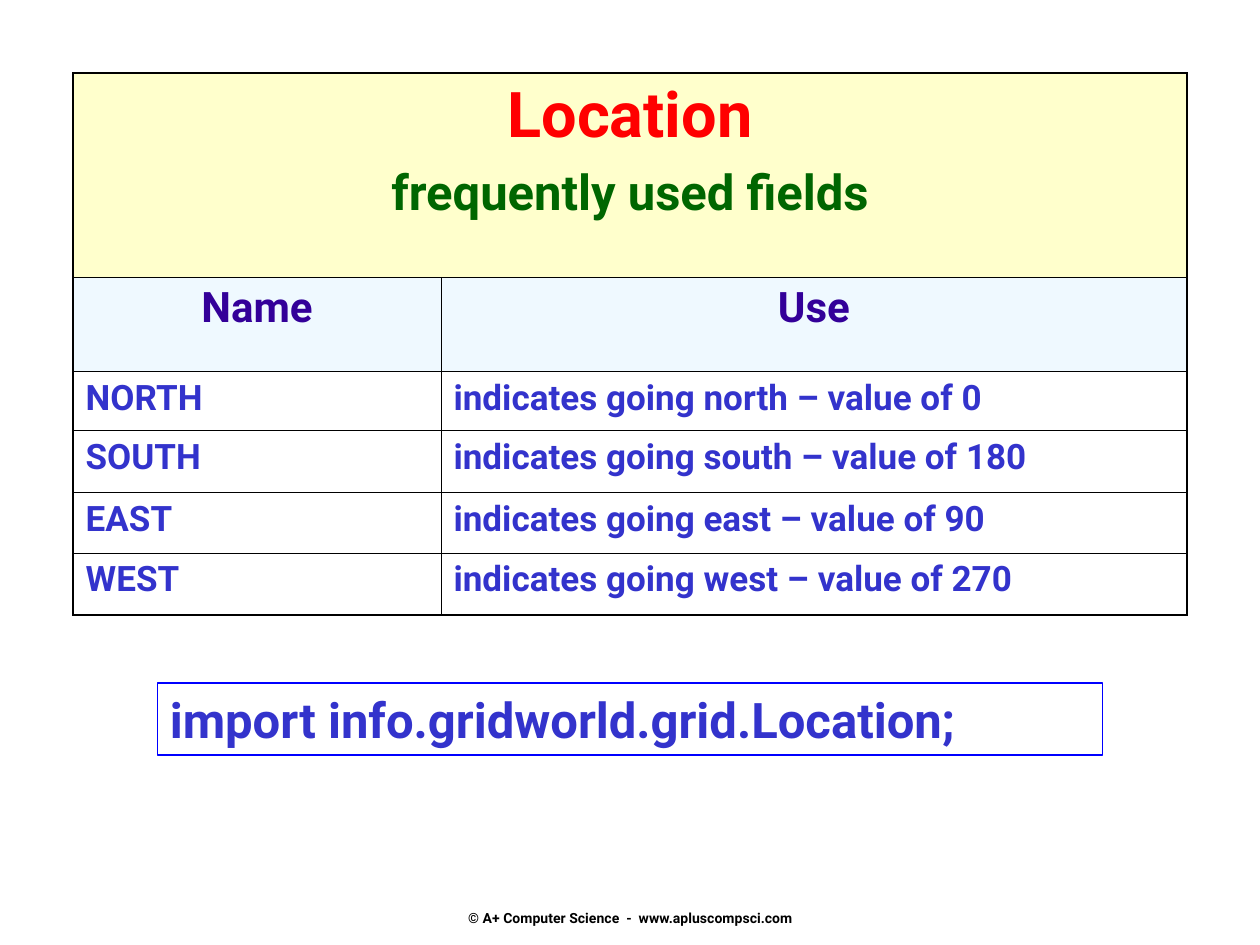
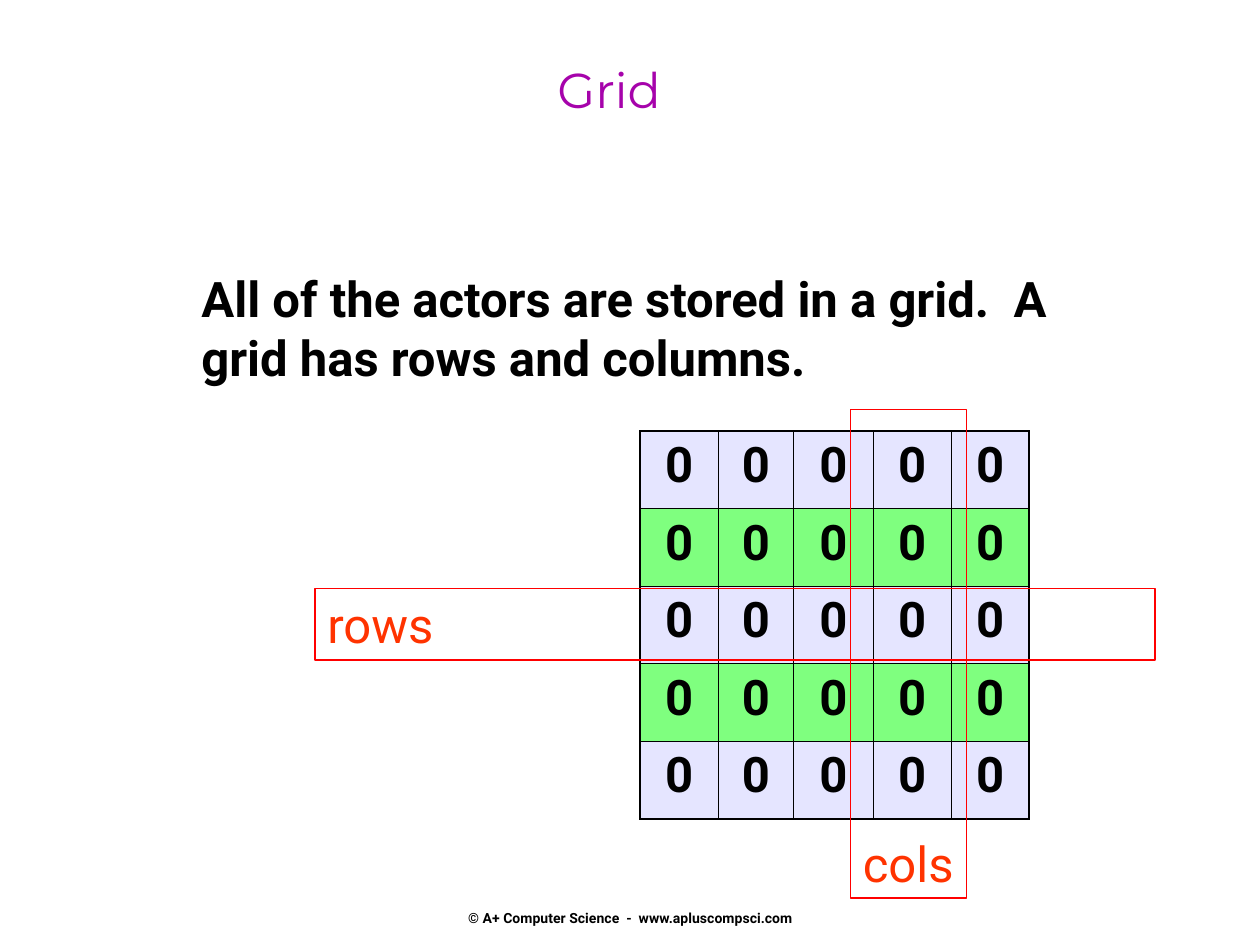
from copy import deepcopy
from dataclasses import dataclass

from lxml.etree import SubElement
from pptx import Presentation
from pptx.dml.color import RGBColor
from pptx.enum.shapes import MSO_SHAPE as Preset
from pptx.enum.text import MSO_ANCHOR as Anchor, PP_ALIGN as Align
from pptx.oxml import parse_xml
from pptx.oxml.ns import nsdecls, qn
from pptx.slide import Slide
from pptx.table import Table, _Cell as Cell
from pptx.text.text import TextFrame
from pptx.util import Inches, Pt

BLACK = RGBColor(0x00, 0x00, 0x00)
RED = RGBColor(0xFF, 0x00, 0x00)
ORANGE = RGBColor(0xFF, 0x33, 0x00)
BLUE = RGBColor(0x00, 0x00, 0xFF)
INDIGO = RGBColor(0x33, 0x33, 0xCC)
VIOLET = RGBColor(0x33, 0x00, 0x99)
PURPLE = RGBColor(0xA6, 0x03, 0xAB)
DARK_GREEN = RGBColor(0x00, 0x66, 0x00)
GREEN = RGBColor(0x00, 0xFF, 0x00)
LAVENDER = RGBColor(0xCC, 0xCC, 0xFF)
PALE_BLUE = RGBColor(0xE1, 0xF4, 0xFF)
CREAM = RGBColor(0xFF, 0xFF, 0xCC)

OUTER_BORDER, INNER_BORDER = Pt(1.08), Pt(0.45)
HALF_OPAQUE = 50


@dataclass(frozen=True)
class TextStyle:
    size: int
    color: RGBColor
    bold: bool = True
    align: Align = Align.LEFT
    name: str = "Roboto"
    space_before: int = 0


@dataclass(frozen=True)
class Box:
    left: float
    top: float
    width: float
    height: float

    def lengths(self) -> tuple:
        return tuple(map(Inches, (self.left, self.top, self.width, self.height)))


@dataclass(frozen=True)
class Label:
    text: str
    box: Box
    style: TextStyle
    line: RGBColor | None = None
    anchor: Anchor = Anchor.TOP
    right_inset: float = 0.1
    bottom_inset: float = 0.05


FOOTER = Label("© A+ Computer Science  -  www.apluscompsci.com", Box(3.42, 6.83, 3.17, 0.52),
               TextStyle(8, BLACK, align=Align.CENTER), anchor=Anchor.BOTTOM, bottom_inset=0)
CLASS_NAME = TextStyle(36, RED, align=Align.CENTER)
TABLE_SUBTITLE = TextStyle(28, DARK_GREEN, align=Align.CENTER, space_before=7)
COLUMN_HEADING = TextStyle(24, VIOLET, align=Align.CENTER)
FIELD = TextStyle(20, INDIGO)
GRID_VALUE = TextStyle(28, BLACK, align=Align.CENTER)
MARKER = TextStyle(28, ORANGE, bold=False)

DIRECTIONS = {"NORTH": 0, "SOUTH": 180, "EAST": 90, "WEST": 270}
IMPORT_LINE = Label("import info.gridworld.grid.Location;", Box(1.25, 5.42, 7.5, 0.57),
                    TextStyle(28, INDIGO), BLUE)
GRID_TEXTS = (
    Label("All of the actors are stored in a grid.  A grid has rows and columns.",
          Box(1.5, 2.08, 6.92, 1.97), TextStyle(28, BLACK)),
    Label("Grid", Box(0.92, 0.42, 7.83, 1),
          TextStyle(28, PURPLE, False, Align.CENTER, "Montserrat")),
)
GRID_MARKERS = (
    Label("rows", Box(2.5, 4.67, 6.67, 0.57), MARKER, RED),
    Label("cols", Box(6.75, 3.25, 0.92, 3.88), MARKER, RED, Anchor.BOTTOM, right_inset=0),
)


def write(frame: TextFrame, *lines: tuple[str, TextStyle]) -> None:
    for index, (text, style) in enumerate(lines):
        paragraph = frame.add_paragraph() if index else frame.paragraphs[0]
        paragraph.alignment = style.align
        paragraph.space_before = Pt(style.space_before)
        run = paragraph.add_run()
        run.text = text
        formats = {"name": style.name, "size": Pt(style.size), "bold": style.bold}
        for attribute, value in formats.items():
            setattr(run.font, attribute, value)
        run.font.color.rgb = style.color


def draw_label(slide: Slide, label: Label) -> None:
    if label.line is None:
        shape = slide.shapes.add_textbox(*label.box.lengths())
    else:
        shape = slide.shapes.add_shape(Preset.RECTANGLE, *label.box.lengths())
        shape.shadow.inherit = False
        shape.fill.background()
        shape.line.color.rgb = label.line
        shape.line.width = Pt(1)
    frame = shape.text_frame
    formats = {"word_wrap": True, "vertical_anchor": label.anchor,
               "margin_right": Inches(label.right_inset),
               "margin_bottom": Inches(label.bottom_inset)}
    for attribute, value in formats.items():
        setattr(frame, attribute, value)
    write(frame, (label.text, label.style))


def fill_cell(cell: Cell, color: RGBColor, opacity: int = 100) -> None:
    cell.fill.solid()
    cell.fill.fore_color.rgb = color
    if opacity < 100:
        color_element = cell._tc.tcPr.find(".//" + qn("a:srgbClr"))
        SubElement(color_element, qn("a:alpha"), val=str(opacity * 1000))


def draw_borders(table: Table) -> None:
    last_row, last_column = len(table.rows) - 1, len(table.columns) - 1
    solid_black = parse_xml(
        f'<a:solidFill {nsdecls("a")}><a:srgbClr val="{BLACK}"/></a:solidFill>')
    for row in range(last_row + 1):
        for column in range(last_column + 1):
            cell = table.cell(row, column)
            if cell.is_spanned:
                continue
            right_column = column + cell.span_width - 1
            outer_sides = {"lnL": column == 0, "lnR": right_column == last_column,
                           "lnT": row == 0, "lnB": row == last_row}
            properties = cell._tc.get_or_add_tcPr()
            for index, (side, is_outer) in enumerate(outer_sides.items()):
                width = OUTER_BORDER if is_outer else INNER_BORDER
                border = SubElement(properties, qn(f"a:{side}"), w=str(int(width)))
                border.append(deepcopy(solid_black))
                properties.insert(index, border)


def add_plain_table(slide: Slide, box: Box, widths: list[float], heights: list[float]) -> Table:
    table = slide.shapes.add_table(len(heights), len(widths), *box.lengths()).table
    table.first_row = table.horz_banding = False
    for column, width in zip(table.columns, widths):
        column.width = Inches(width)
    for row, height in zip(table.rows, heights):
        row.height = Inches(height)
    for cell in table.iter_cells():
        cell.fill.background()
    return table


def build_location_slide(slide: Slide) -> None:
    table = add_plain_table(slide, Box(0.58, 0.58, 8.84, 4.3), [2.92, 5.92],
                            [1.62, 0.75, 0.47, 0.49, 0.48, 0.49])
    banner = table.cell(0, 0)
    banner.merge(table.cell(0, 1))
    fill_cell(banner, CREAM)
    write(banner.text_frame, ("Location", CLASS_NAME),
          ("frequently used fields", TABLE_SUBTITLE))
    for column, heading in enumerate(("Name", "Use")):
        cell = table.cell(1, column)
        fill_cell(cell, PALE_BLUE, HALF_OPAQUE)
        write(cell.text_frame, (heading, COLUMN_HEADING))
    for row, (name, value) in enumerate(DIRECTIONS.items(), start=2):
        use = f"indicates going {name.lower()} – value of {value}"
        for column, text in enumerate((name, use)):
            write(table.cell(row, column).text_frame, (text, FIELD))
    draw_borders(table)
    draw_label(slide, IMPORT_LINE)


def build_grid_slide(slide: Slide) -> None:
    for label in GRID_TEXTS:
        draw_label(slide, label)
    side = 3.08
    widths = [0.62, 0.6, 0.63, 0.62, 0.62]
    table = add_plain_table(slide, Box(5.08, 3.42, side, side), widths, [side / 5] * 5)
    for row in range(5):
        for column in range(5):
            cell = table.cell(row, column)
            fill_cell(cell, GREEN if row % 2 else LAVENDER, HALF_OPAQUE)
            write(cell.text_frame, ("0", GRID_VALUE))
    draw_borders(table)
    for label in GRID_MARKERS:
        draw_label(slide, label)


def main() -> None:
    presentation = Presentation()
    presentation.slide_width, presentation.slide_height = Inches(10), Inches(7.5)
    for build in (build_location_slide, build_grid_slide):
        slide = presentation.slides.add_slide(presentation.slide_layouts[6])
        draw_label(slide, FOOTER)
        build(slide)
    presentation.save("out.pptx")


if __name__ == "__main__":
    main()
